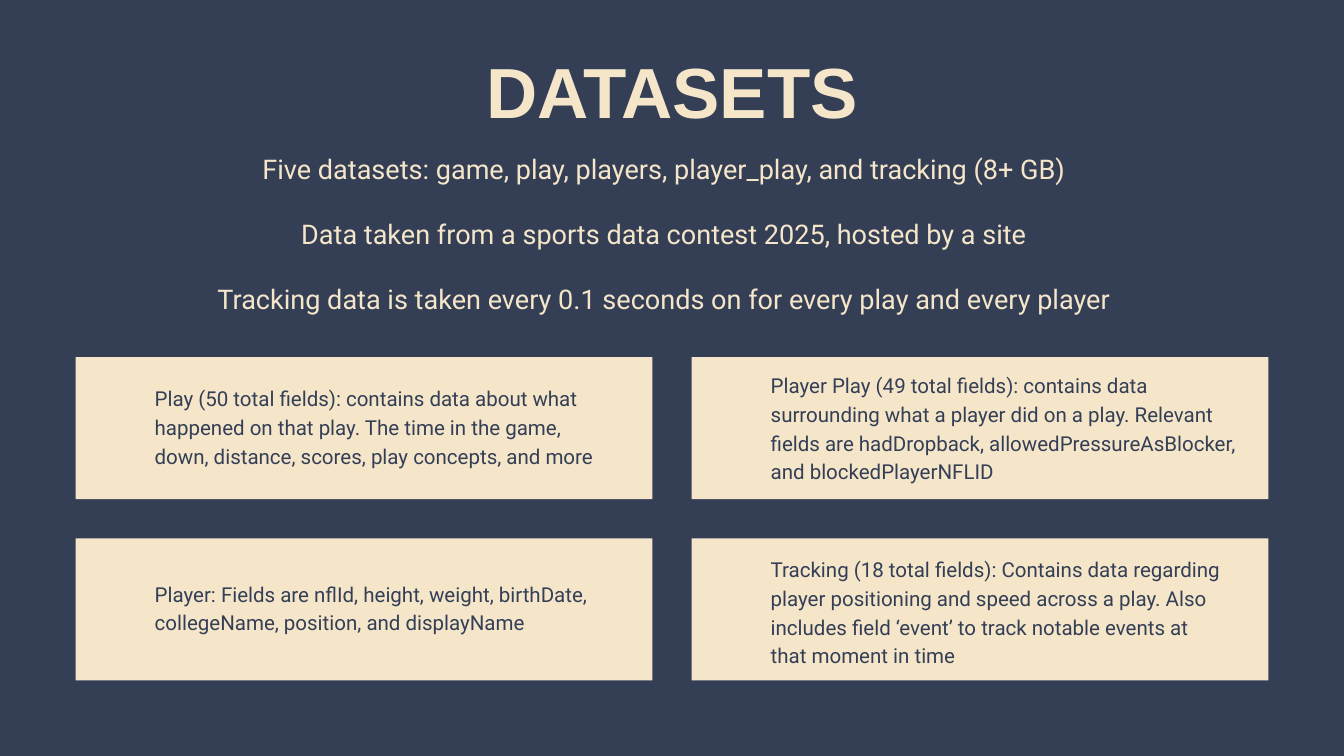
from dataclasses import dataclass

import pptx
import pptx.dml.color
import pptx.enum.shapes
import pptx.enum.text
import pptx.oxml.ns
import pptx.util
from lxml import etree

EMU_PER_PX = 9525


def px(length: int) -> pptx.util.Emu:
    return pptx.util.Emu(length * EMU_PER_PX)


@dataclass(frozen=True)
class TextStyle:
    font: str
    size: int
    line: float
    color: pptx.dml.color.RGBColor
    bold: bool = False
    centred: bool = False
    gap: int = 0


@dataclass(frozen=True)
class Theme:
    navy = pptx.dml.color.RGBColor.from_string("343F56")
    cream = pptx.dml.color.RGBColor.from_string("F5E6CA")
    title = TextStyle("Arial", 76, 106.4, cream, bold=True, centred=True)
    body = TextStyle("Roboto", 29, 34.8, cream, centred=True, gap=35)
    card = TextStyle("Roboto", 22, 30.8, navy)


@dataclass(frozen=True)
class Card:
    column: int
    row: int
    text_top: int
    text_width: int
    text_height: int
    text: str


THEME = Theme()

# Card grid, in px
CARD_LEFT, CARD_TOP = 108, 510
CARD_WIDTH, CARD_HEIGHT = 824, 203
COLUMN_STEP, ROW_STEP = 880, 259
TEXT_INDENT = 113

SUMMARY = [
    "Five datasets: game, play, players, player_play, and tracking (8+ GB)",
    "Data taken from a sports data contest 2025, hosted by a site",
    "Tracking data is taken every 0.1 seconds on for every play and every player",
]

CARDS = [
    Card(0, 0, 546, 647, 122,
         "Play (50 total fields): contains data about what happened on that play. "
         "The time in the game, down, distance, scores, play concepts, and more"),
    Card(0, 1, 825, 647, 82,
         "Player: Fields are nflId, height, weight, birthDate, collegeName, "
         "position, and displayName"),
    Card(1, 0, 527, 675, 163,
         "Player Play (49 total fields): contains data surrounding what a player did "
         "on a play. Relevant fields are hadDropback, allowedPressureAsBlocker, "
         "and blockedPlayerNFLID"),
    Card(1, 1, 790, 647, 163,
         "Tracking (18 total fields): Contains data regarding player positioning and "
         "speed across a play. Also includes field ‘event’ to track notable events "
         "at that moment in time"),
]


def place(box, left: int, top: int, width: int, height: int) -> None:
    box.left, box.top, box.width, box.height = map(px, (left, top, width, height))


def write(box, lines: list[str], style: TextStyle) -> None:
    frame = box.text_frame
    frame.text = "\n".join(lines)
    frame.word_wrap = True
    frame.auto_size = pptx.enum.text.MSO_AUTO_SIZE.NONE
    frame.vertical_anchor = pptx.enum.text.MSO_ANCHOR.TOP
    frame.margin_left = frame.margin_top = frame.margin_right = frame.margin_bottom = 0
    align = pptx.enum.text.PP_ALIGN
    for index, para in enumerate(frame.paragraphs):
        # No bullet or hanging indent
        properties = para._p.get_or_add_pPr()
        properties.set("marL", "0")
        properties.set("indent", "0")
        etree.SubElement(properties, pptx.oxml.ns.qn("a:buNone"))
        para.alignment = align.CENTER if style.centred else align.LEFT
        para.line_spacing = pptx.util.Pt(style.line)
        para.space_before = pptx.util.Pt(style.gap if index else 0)
        para.space_after = pptx.util.Pt(0)
        for span in para.runs:
            span.font.name = style.font
            span.font.size = pptx.util.Pt(style.size)
            span.font.bold = style.bold
            span.font.color.rgb = style.color


def draw_card(page, card: Card) -> None:
    left = CARD_LEFT + card.column * COLUMN_STEP
    top = CARD_TOP + card.row * ROW_STEP
    panel = page.shapes.add_shape(
        pptx.enum.shapes.MSO_SHAPE.RECTANGLE,
        px(left), px(top), px(CARD_WIDTH), px(CARD_HEIGHT))
    panel.shadow.inherit = False
    panel.fill.solid()
    panel.fill.fore_color.rgb = THEME.cream
    panel.line.fill.background()
    box = page.shapes.add_textbox(
        px(left + TEXT_INDENT), px(card.text_top),
        px(card.text_width), px(card.text_height))
    write(box, [card.text], THEME.card)


def main() -> None:
    deck = pptx.Presentation()
    deck.slide_width, deck.slide_height = px(1920), px(1080)
    page = deck.slides.add_slide(deck.slide_layouts[1])
    page.background.fill.solid()
    page.background.fill.fore_color.rgb = THEME.navy

    # Title and summary
    title, body = page.shapes.title, page.placeholders[1]
    place(title, 282, 47, 1356, 144)
    write(title, ["DATASETS"], THEME.title)
    place(body, 180, 218, 1538, 232)
    write(body, SUMMARY, THEME.body)

    # Dataset cards
    for card in CARDS:
        draw_card(page, card)

    deck.save("out.pptx")


if __name__ == "__main__":
    main()
